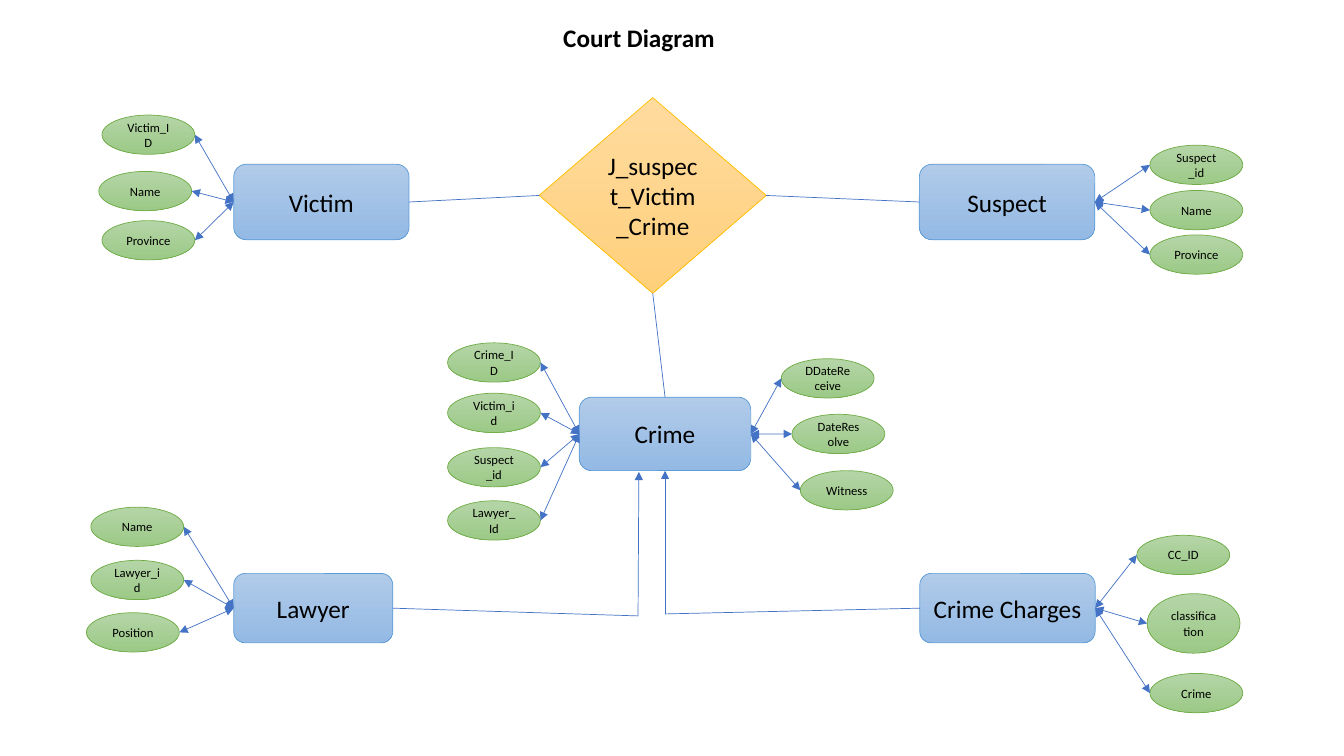
from lxml import etree
from pptx import Presentation
from pptx.dml.color import RGBColor
from pptx.enum.shapes import MSO_CONNECTOR, MSO_SHAPE
from pptx.enum.text import MSO_ANCHOR, PP_ALIGN
from pptx.oxml.ns import qn
from pptx.util import Cm, Pt

STRAIGHT = MSO_CONNECTOR.STRAIGHT
ENTITY = MSO_SHAPE.FLOWCHART_ALTERNATE_PROCESS
RELATION = MSO_SHAPE.FLOWCHART_DECISION
ATTRIBUTE = MSO_SHAPE.OVAL
CENTER = PP_ALIGN.CENTER
MIDDLE = MSO_ANCHOR.MIDDLE
TOP, LEFT, BOTTOM, RIGHT = range(4)  # connection sites of a box

# Content, all lengths in centimetres
TITLE = "Court Diagram"
TITLE_BOX = (5.92, 0.43, 20.37, 1.02)

# Shape, gradient top, gradient bottom, outline, text size
STYLES = {
    "entity": (ENTITY, "B1CBE9", "93B9E4", "5B9BD5", 18),
    "relation": (RELATION, "FFDB9E", "FFD07C", "FFC000", 18),
    "attribute": (ATTRIBUTE, "B5D5A7", "9CC987", "70AD47", 9),
}
LINE_COLOR = "4472C4"

# Label, style, box
BOXES = [
    ("Suspect", "entity", (23.17, 4.14, 4.42, 1.9)),
    ("Victim", "entity", (5.89, 4.14, 4.42, 1.9)),
    ("Crime Charges", "entity", (23.18, 14.45, 4.42, 1.75)),
    ("Crime", "entity", (14.6, 10.01, 4.32, 1.85)),
    ("Lawyer", "entity", (5.89, 14.45, 4.01, 1.75)),
    ("J_suspect_Victim_Crime", "relation", (13.59, 2.46, 5.72, 4.93)),
]

# Entity, its side, attributes as (label, left, top, height)
OVAL_WIDTH, OVAL_HEIGHT, TALL_OVAL = 2.34, 0.99, 1.5
ATTRIBUTES = [
    ("Victim", LEFT, [("Victim_ID", 2.57, 2.9, OVAL_HEIGHT),
                      ("Name", 2.49, 4.32, OVAL_HEIGHT),
                      ("Province", 2.57, 5.56, OVAL_HEIGHT)]),
    ("Suspect", RIGHT, [("Suspect_id", 28.98, 3.66, OVAL_HEIGHT),
                        ("Name", 28.98, 4.8, OVAL_HEIGHT),
                        ("Province", 28.98, 5.92, OVAL_HEIGHT)]),
    ("Lawyer", LEFT, [("Name", 2.29, 12.78, OVAL_HEIGHT),
                      ("Lawyer_id", 2.29, 14.12, OVAL_HEIGHT),
                      ("Position", 2.18, 15.44, OVAL_HEIGHT)]),
    ("Crime Charges", RIGHT, [("CC_ID", 28.65, 13.49, OVAL_HEIGHT),
                              ("classification", 28.91, 14.96, TALL_OVAL),
                              ("Crime", 28.98, 16.97, OVAL_HEIGHT)]),
    ("Crime", LEFT, [("Crime_ID", 11.28, 8.64, OVAL_HEIGHT),
                     ("Victim_id", 11.28, 9.91, OVAL_HEIGHT),
                     ("Suspect_id", 11.28, 11.28, OVAL_HEIGHT),
                     ("Lawyer_Id", 11.28, 12.62, OVAL_HEIGHT)]),
    ("Crime", RIGHT, [("DDateReceive", 19.69, 9.04, OVAL_HEIGHT),
                      ("DateResolve", 19.96, 10.44, OVAL_HEIGHT),
                      ("Witness", 20.17, 11.86, OVAL_HEIGHT)]),
]

# Lines between boxes: start box and side, end box and side
RELATION_LINES = [
    ("Victim", RIGHT, "J_suspect_Victim_Crime", LEFT),
    ("J_suspect_Victim_Crime", RIGHT, "Suspect", LEFT),
    ("J_suspect_Victim_Crime", BOTTOM, "Crime", TOP),
]

# Routes into Crime: start box and side, corner, arrow tip
CRIME_ROUTES = [
    ("Lawyer", RIGHT, (16.08, 15.52), (16.1, 11.89)),
    ("Crime Charges", LEFT, (16.76, 15.47), (16.76, 11.86)),
]


def color(value):
    return RGBColor.from_string(value)


def write(frame, text, size, bold=False):
    paragraph = frame.paragraphs[0]
    paragraph.alignment = CENTER
    run = paragraph.add_run()
    run.text = text
    run.font.name = "Calibri"
    run.font.size = Pt(size)
    run.font.bold = bold
    run.font.color.rgb = color("000000")


def add_box(slide, label, style, box):
    preset, upper, lower, outline, size = STYLES[style]
    shape = slide.shapes.add_shape(preset, *map(Cm, box))
    shape.shadow.inherit = False
    shape.fill.gradient()
    shape.fill.gradient_angle = 270
    for stop, shade in zip(shape.fill.gradient_stops, (upper, lower)):
        stop.color.rgb = color(shade)
    shape.line.color.rgb = color(outline)
    shape.line.width = Pt(0.5)
    shape.text_frame.word_wrap = True
    shape.text_frame.vertical_anchor = MIDDLE
    write(shape.text_frame, label, size)
    return shape


def side_point(box, side):
    left, top, width, height = box
    return {
        TOP: (left + width / 2, top),
        LEFT: (left, top + height / 2),
        BOTTOM: (left + width / 2, top + height),
        RIGHT: (left + width, top + height / 2),
    }[side]


def add_line(slide, start, end, arrows=()):
    connector = slide.shapes.add_connector(STRAIGHT, *map(Cm, (*start, *end)))
    connector.line.color.rgb = color(LINE_COLOR)
    connector.line.width = Pt(0.5)
    line = connector.line._get_or_add_ln()
    for arrow in arrows:
        etree.SubElement(line, qn("a:" + arrow), type="triangle")
    etree.SubElement(connector._element.spPr, qn("a:effectLst"))
    return connector


def main():
    presentation = Presentation()
    presentation.slide_width, presentation.slide_height = Cm(33.87), Cm(19.05)
    slide = presentation.slides.add_slide(presentation.slide_layouts[6])

    # Title
    title = slide.shapes.add_textbox(*map(Cm, TITLE_BOX))
    title.text_frame.word_wrap = True
    write(title.text_frame, TITLE, 18, bold=True)

    # Entities and the relation
    boxes = {label: box for label, _, box in BOXES}
    shapes = {label: add_box(slide, label, style, box)
              for label, style, box in BOXES}

    # Attributes, each joined to the side of its entity
    for entity, side, attributes in ATTRIBUTES:
        facing = RIGHT if side == LEFT else LEFT
        for label, left, top, height in attributes:
            oval = (left, top, OVAL_WIDTH, height)
            add_box(slide, label, "attribute", oval)
            connector = add_line(slide, side_point(boxes[entity], side),
                                 side_point(oval, facing),
                                 ("headEnd", "tailEnd"))
            connector.begin_connect(shapes[entity], side)

    # Lines of the relation
    for first, first_side, second, second_side in RELATION_LINES:
        connector = add_line(slide, side_point(boxes[first], first_side),
                             side_point(boxes[second], second_side))
        connector.begin_connect(shapes[first], first_side)
        connector.end_connect(shapes[second], second_side)

    # Routes into Crime
    for entity, side, corner, tip in CRIME_ROUTES:
        connector = add_line(slide, side_point(boxes[entity], side), corner)
        connector.begin_connect(shapes[entity], side)
        add_line(slide, corner, tip, ("tailEnd",))

    presentation.save("out.pptx")


if __name__ == "__main__":
    main()
